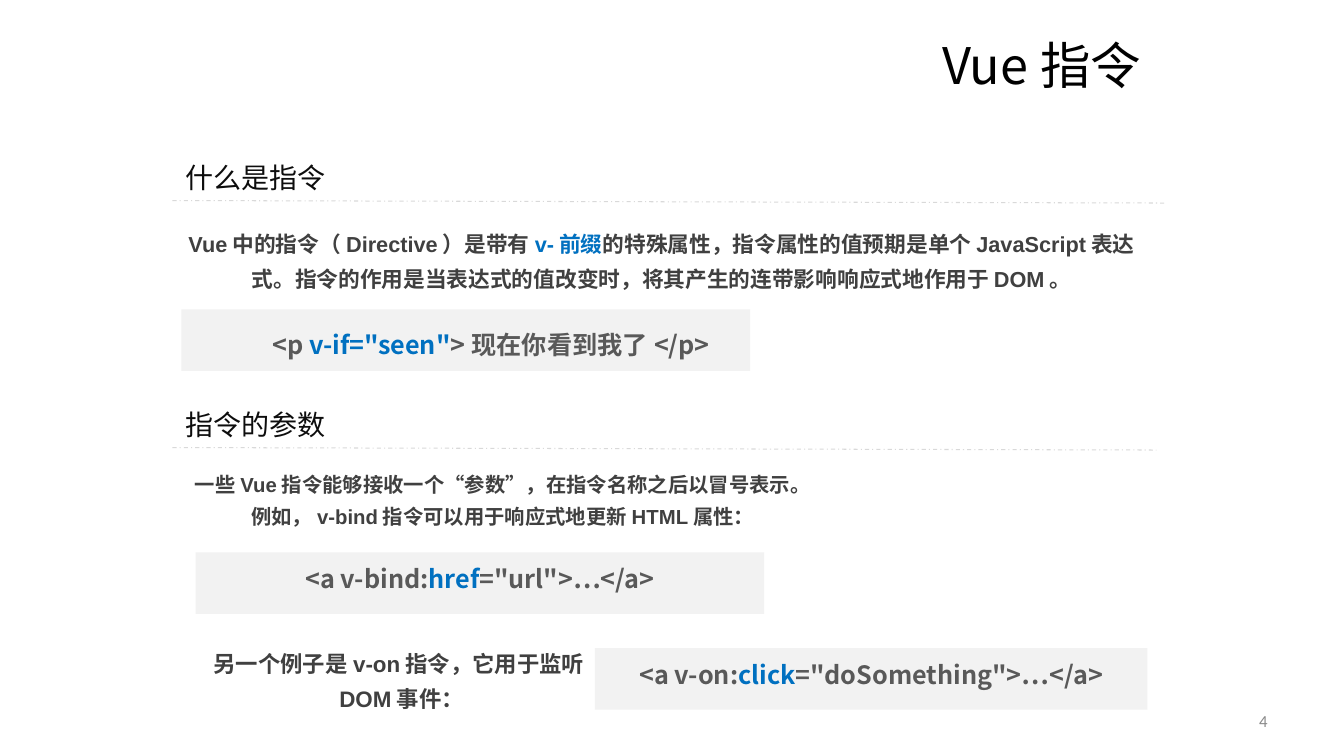
from lxml.etree import SubElement
from pptx import Presentation
from pptx.dml.color import RGBColor
from pptx.enum.dml import MSO_LINE
from pptx.enum.shapes import MSO_CONNECTOR, MSO_SHAPE
from pptx.enum.text import MSO_ANCHOR, PP_ALIGN
from pptx.oxml.ns import qn
from pptx.util import Inches, Pt

WIDTH, HEIGHT = Inches(13.33), Inches(7.5)
CJK_FONT = "Noto Sans CJK SC"
MARGIN = 12.83  # left edge of the content, percent of the slide width
HIGHLIGHT = "0070C0"


def rgb(value):
    return RGBColor.from_string(value)


def across(percent):
    return round(WIDTH * percent / 100)


def down(percent):
    return round(HEIGHT * percent / 100)


def area(left, top, width, height):
    """Turn percentages of the slide into a position and size."""
    return across(left), down(top), across(width), down(height)


def write(frame, *lines, size, color, font=CJK_FONT, bold=False,
          align=PP_ALIGN.LEFT, spacing=1.0, indent=0, anchor=MSO_ANCHOR.TOP):
    """Write one paragraph per line; text between bars is highlighted."""
    frame.word_wrap = True
    frame.vertical_anchor = anchor
    for index, line in enumerate(lines):
        paragraph = frame.add_paragraph() if index else frame.paragraphs[0]
        paragraph.alignment = align
        paragraph.line_spacing = spacing
        paragraph.space_before = Pt(0.2 * size if index else 0)
        if indent:
            paragraph._p.get_or_add_pPr().set("marL", str(Inches(indent)))
        for position, piece in enumerate(line.split("|")):
            run = paragraph.add_run()
            run.text = piece
            run.font.size = Pt(size)
            run.font.bold = bold
            run.font.name = font
            run.font.color.rgb = rgb(HIGHLIGHT if position % 2 else color)
            east_asian = SubElement(run._r.get_or_add_rPr(), qn("a:ea"))
            east_asian.set("typeface", CJK_FONT)


def add_text(slide, box, *lines, inset=(0.13, 0.07), **text_format):
    frame = slide.shapes.add_textbox(*area(*box)).text_frame
    frame.margin_left = frame.margin_right = Inches(inset[0])
    frame.margin_top = frame.margin_bottom = Inches(inset[1])
    write(frame, *lines, **text_format)


def add_section(slide, top, heading, rule_end):
    """Add a section heading with a dashed rule below it."""
    add_text(slide, (MARGIN, top, 79.67, 7.87), heading,
             size=20, color="0D0D0D", font="Calibri", spacing=1.4)
    rule = slide.shapes.add_connector(
        MSO_CONNECTOR.STRAIGHT, across(MARGIN), down(top + 8),
        across(rule_end), down(top + 8.33))
    rule.line.color.rgb = rgb("D9D9D9")
    rule.line.width = Pt(0.75)
    rule.line.dash_style = MSO_LINE.DASH_DOT
    SubElement(rule._element.spPr, qn("a:effectLst"))


def add_explanation(slide, box, *lines, size, spacing=1.32):
    add_text(slide, box, *lines, size=size, color="404040", font="Arial",
             bold=True, align=PP_ALIGN.CENTER, spacing=spacing)


def add_code(slide, left, top, width, code, spacing=1.2, indent=0):
    shape = slide.shapes.add_shape(MSO_SHAPE.RECTANGLE, *area(left, top, width, 8.13))
    shape.shadow.inherit = False
    shape.fill.solid()
    shape.fill.fore_color.rgb = rgb("F2F2F2")
    shape.line.fill.background()
    write(shape.text_frame, code, size=18, color="595959", bold=True,
          align=PP_ALIGN.CENTER, spacing=spacing, indent=indent)


def add_title(slide, text):
    title = slide.shapes.title
    title.left, title.top, title.width, title.height = area(44.26, 3.73, 41.41, 9.6)
    write(title.text_frame, text, size=36, color="000000",
          align=PP_ALIGN.RIGHT, anchor=MSO_ANCHOR.MIDDLE)


def main():
    presentation = Presentation()
    presentation.slide_width, presentation.slide_height = WIDTH, HEIGHT
    slide = presentation.slides.add_slide(presentation.slide_layouts[5])

    add_title(slide, "Vue指令")
    add_text(slide, (71.72, 92.67, 23.33, 5.33), "4", inset=(0.1, 0.05),
             size=12, color="898989", font="Calibri",
             align=PP_ALIGN.RIGHT, anchor=MSO_ANCHOR.MIDDLE)

    add_section(slide, 18.53, "什么是指令", rule_end=86.65)
    add_explanation(
        slide, (MARGIN, 28.53, 72.77, 11.6),
        "Vue中的指令（Directive）是带有|v-前缀|的特殊属性，"
        "指令属性的值预期是单个JavaScript表达式。"
        "指令的作用是当表达式的值改变时，将其产生的连带影响响应式地作用于DOM。",
        size=15.5)
    add_code(slide, 13.5, 40.93, 42.31, '<p |v-if="seen"|>现在你看到我了</p>',
             spacing=1.5, indent=0.5)

    add_section(slide, 51.2, "指令的参数", rule_end=86.05)
    add_explanation(
        slide, (MARGIN, 61.2, 49.14, 12.27),
        "一些Vue指令能够接收一个“参数”，在指令名称之后以冒号表示。",
        "例如，v-bind指令可以用于响应式地更新HTML属性：",
        size=14.5, spacing=1.12)
    add_code(slide, 14.55, 73.07, 42.31, '<a v-bind:|href|="url">…</a>')
    add_explanation(slide, (14.55, 83.87, 30.68, 12.27),
                    "另一个例子是v-on指令，它用于监听DOM事件：", size=16)
    add_code(slide, 44.26, 85.73, 41.11, '<a v-on:|click|="doSomething">…</a>')

    presentation.save("out.pptx")


if __name__ == "__main__":
    main()
